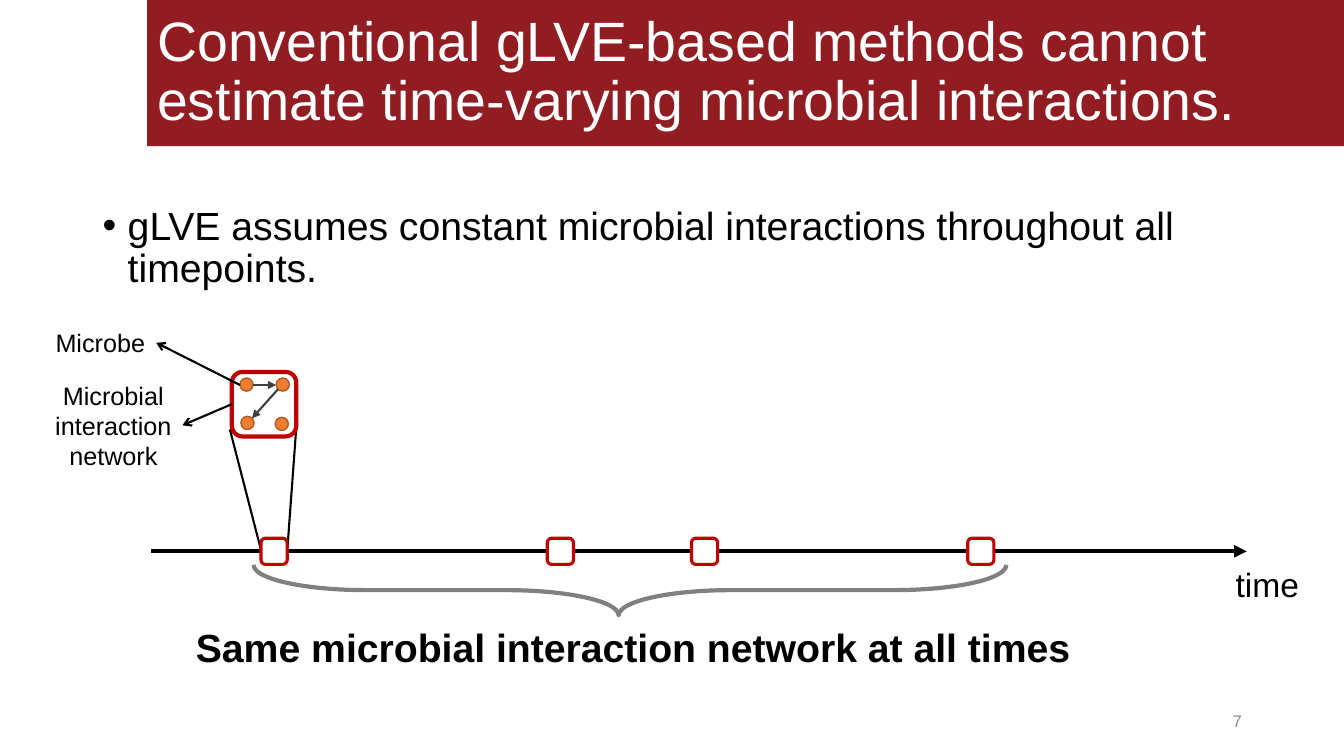
from lxml.etree import SubElement
from pptx import Presentation
from pptx.dml.color import RGBColor
from pptx.enum.shapes import MSO_CONNECTOR, MSO_SHAPE
from pptx.enum.text import MSO_ANCHOR, MSO_AUTO_SIZE, PP_ALIGN
from pptx.oxml.ns import qn
from pptx.util import Pt

FONT = "Arial"
BLACK, WHITE, MAROON = "000000", "FFFFFF", "911D22"
RED, ORANGE, RUST = "C00000", "ED7D31", "AF5C24"
DARK_GREY, GREY, PALE_GREY = "404040", "808080", "8C8C8C"

TITLE = "Conventional gLVE-based methods cannot estimate time-varying microbial interactions."
ASSUMPTION = "gLVE assumes constant microbial interactions throughout all timepoints."

# lines, (left, top, width, height), size, alignment, bold
LABELS = [
    (["time"], (875.5, 399.6, 72.7, 36), 24, PP_ALIGN.LEFT, False),
    (["Microbial", "interaction", "network"], (31.7, 267.8, 98.6, 72.7), 18, PP_ALIGN.CENTER, False),
    (["Microbe"], (31.7, 230.4, 79.9, 28.8), 18, PP_ALIGN.CENTER, False),
    (["Same microbial interaction network at all times"],
     (128.9, 441.4, 646.6, 41), 28, PP_ALIGN.CENTER, True),
]

AXIS_Y = 393.8
TIMEPOINT_CENTRES = [195.8, 400.3, 503.3, 700.6]
TIMEPOINT_SIZE = 18.7
NETWORK = (165.6, 265.7, 46.1, 46.1)
MICROBE_SIZE = 9.4
MICROBES = [(171.4, 270), (172.1, 297.4), (197.3, 270), (196.6, 298.1)]

# start, end, colour, width, arrowhead
TIME_AXIS = ((108, AXIS_Y), (890.6, AXIS_Y), BLACK, 3, "triangle")
ZOOM_LINES = [
    ((164.2, 306.7), (186.5, 393.1), BLACK, 1.5, None),
    ((211.7, 304.6), (205.2, 393.1), BLACK, 1.5, None),
]
INTERACTIONS = [
    ((180.7, 275), (197.3, 275), DARK_GREY, 1.5, "triangle"),
    ((198.7, 277.9), (180, 298.8), DARK_GREY, 1.5, "triangle"),
]
LABEL_POINTERS = [
    ((165.6, 288.7), (130.3, 303.8), BLACK, 1.5, "arrow"),
    ((171.4, 275), (111.6, 244.8), BLACK, 1.5, "arrow"),
]


def color(value):
    return RGBColor.from_string(value)


def style_paragraph(paragraph, size, ink, align=PP_ALIGN.LEFT, bold=False):
    paragraph.alignment = align
    font = paragraph.font
    font.name, font.size, font.bold = FONT, Pt(size), bold
    font.color.rgb = color(ink)


def add_text(lines, box, size, align=PP_ALIGN.LEFT, bold=False, ink=BLACK):
    frame = slide.shapes.add_textbox(*map(Pt, box)).text_frame
    frame.word_wrap = True
    frame.text = "\n".join(lines)
    for paragraph in frame.paragraphs:
        style_paragraph(paragraph, size, ink, align, bold)
    return frame


def add_outline(kind, box, fill, line, width):
    """Add a preset shape; a fill of None leaves it hollow."""
    shape = slide.shapes.add_shape(kind, *map(Pt, box))
    shape.shadow.inherit = False
    if fill:
        shape.fill.solid()
        shape.fill.fore_color.rgb = color(fill)
    else:
        shape.fill.background()
    shape.line.color.rgb = color(line)
    shape.line.width = Pt(width)
    return shape


def add_line(start, end, ink, width, head):
    connector = slide.shapes.add_connector(MSO_CONNECTOR.STRAIGHT, *map(Pt, start + end))
    connector.line.color.rgb = color(ink)
    connector.line.width = Pt(width)
    if head:
        SubElement(connector.line._get_or_add_ln(), qn("a:tailEnd"), type=head)
    SubElement(connector._element.spPr, qn("a:effectLst"))


presentation = Presentation()
presentation.slide_width, presentation.slide_height = Pt(960), Pt(540)
slide = presentation.slides.add_slide(presentation.slide_layouts[5])

title = slide.shapes.title
title.left, title.top, title.width, title.height = map(Pt, (105.1, 0, 854.9, 104.4))
title.fill.solid()
title.fill.fore_color.rgb = color(MAROON)
title.text_frame.text = TITLE
title.text_frame.word_wrap = True
title.text_frame.auto_size = MSO_AUTO_SIZE.NONE
title.text_frame.vertical_anchor = MSO_ANCHOR.MIDDLE
heading = title.text_frame.paragraphs[0]
heading.line_spacing = 0.9
style_paragraph(heading, 39.6, WHITE)

assumption = add_text([ASSUMPTION], (66.2, 144, 828, 342.7), 28).paragraphs[0]
assumption.line_spacing = 0.9
bullet = assumption._p.get_or_add_pPr()
bullet.set("marL", str(Pt(18)))
bullet.set("indent", str(Pt(-18)))
bullet_font = SubElement(bullet, qn("a:buFont"), typeface=FONT)
SubElement(bullet, qn("a:buChar"), char="•")
bullet.append(bullet.find(qn("a:defRPr")))

page_number = add_text(["7"], (678.2, 500.4, 216, 28.8), 12, PP_ALIGN.RIGHT, ink=PALE_GREY)
page_number.vertical_anchor = MSO_ANCHOR.MIDDLE

for line in [TIME_AXIS, *ZOOM_LINES]:
    add_line(*line)
for centre in TIMEPOINT_CENTRES:
    half = TIMEPOINT_SIZE / 2
    add_outline(MSO_SHAPE.ROUNDED_RECTANGLE,
                (centre - half, AXIS_Y - half, TIMEPOINT_SIZE, TIMEPOINT_SIZE), WHITE, RED, 2.25)

add_outline(MSO_SHAPE.ROUNDED_RECTANGLE, NETWORK, WHITE, RED, 3)
for corner in MICROBES:
    add_outline(MSO_SHAPE.OVAL, (*corner, MICROBE_SIZE, MICROBE_SIZE), ORANGE, RUST, 1)
for line in INTERACTIONS + LABEL_POINTERS:
    add_line(*line)

brace = add_outline(MSO_SHAPE.LEFT_BRACE, (432, 152.6, 36, 537.8), None, GREY, 3)
brace.rotation = 270
brace.adjustments[0], brace.adjustments[1] = 2.234, 0.485

for label in LABELS:
    add_text(*label)

presentation.save("out.pptx")
